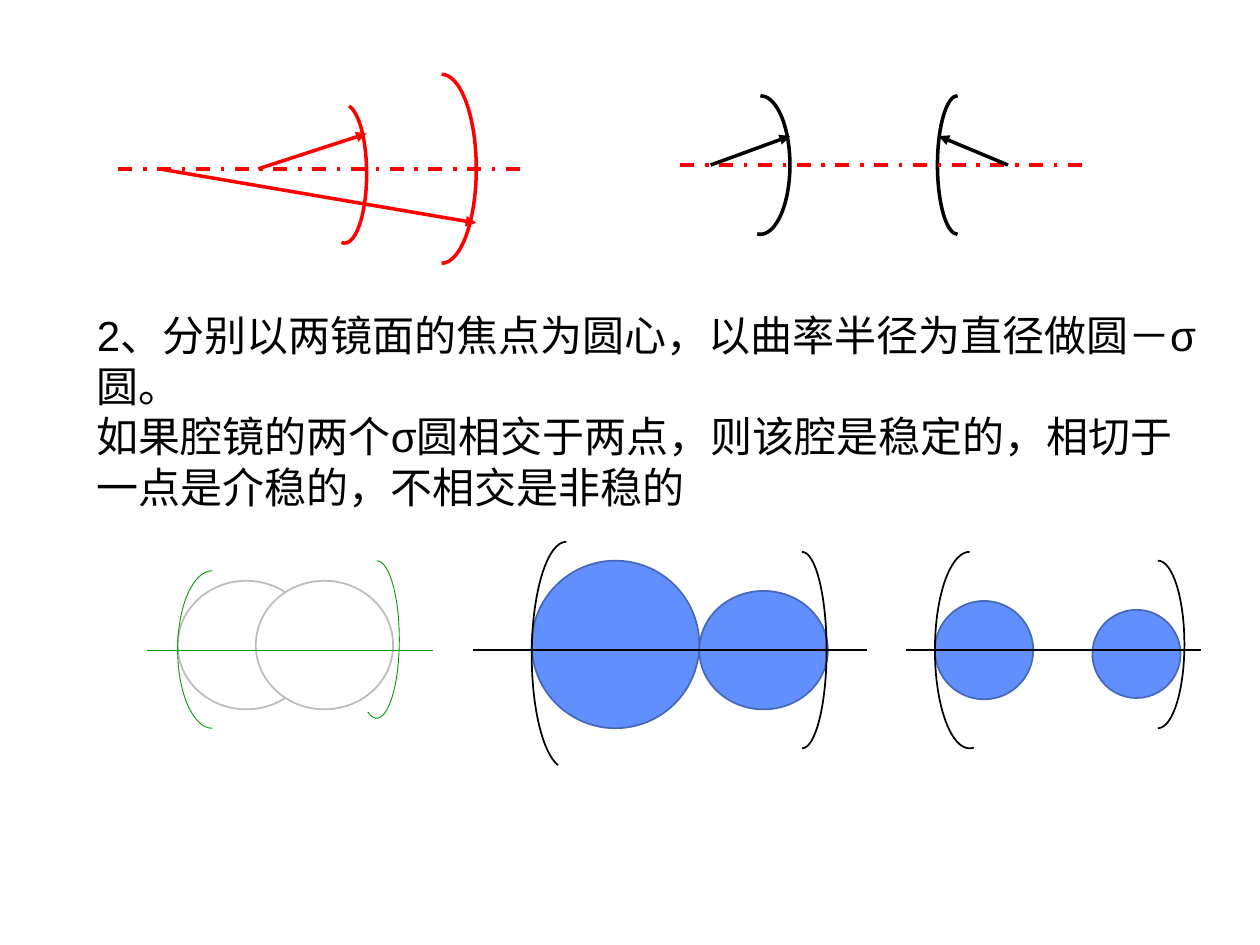
from math import cos, radians, sin, tan

from lxml.etree import SubElement
from pptx import Presentation
from pptx.dml.color import RGBColor
from pptx.enum.dml import MSO_LINE
from pptx.enum.shapes import MSO_CONNECTOR, MSO_SHAPE
from pptx.enum.text import MSO_AUTO_SIZE
from pptx.oxml.ns import qn
from pptx.util import Inches, Pt

RED, BLACK, GREEN, GRAY = "FF0000", "000000", "009D00", "BCBCBC"
WHITE, BLUE, DARK_BLUE = "FFFFFF", "618FFD", "4568BA"
RIGHT, LEFT = (-90, 0, 90), (-90, -180, -270)

PARAGRAPHS = [
    "2、分别以两镜面的焦点为圆心，以曲率半径为直径做圆－σ圆。",
    "如果腔镜的两个σ圆相交于两点，则该腔是稳定的，相切于一点是介稳的，不相交是非稳的",
]

RADIUS_DIAGRAMS = [
    {
        "color": RED,
        "mirrors": [((2.56, 0.83, 0.35, 1.1), (-78, 0, 98)), ((3.23, 0.59, 0.55, 1.5), RIGHT)],
        "axis": (0.94, 4.17, 1.34),
        "radii": [(2.05, 1.34, 2.91, 1.06), (1.26, 1.34, 3.78, 1.77)],
    },
    {
        "color": BLACK,
        "mirrors": [((5.8, 0.76, 0.47, 1.1), (-90, -12, 12, 96)),
                    ((7.44, 0.76, 0.32, 1.1), (-90, -170, -190, -270))],
        "axis": (5.4, 8.63, 1.31),
        "radii": [(5.64, 1.31, 6.27, 1.08), (8, 1.31, 7.45, 1.08)],
    },
]

CIRCLE_DIAGRAMS = [
    {
        "color": GREEN, "width": 0.5, "fill": WHITE, "outline": GRAY,
        "circles": [(1.41, 4.61, 1.09, 1.02), (2.03, 4.61, 1.09, 1.02)],
        "mirrors": [((2.81, 4.45, 0.36, 1.25), (-90, -10, 10, 113)),
                    ((1.41, 4.53, 0.55, 1.25), LEFT)],
        "axis": (1.17, 3.44),
    },
    {
        "color": BLACK, "width": 1, "fill": BLUE, "outline": DARK_BLUE,
        "circles": [(4.22, 4.45, 1.33, 1.33), (5.55, 4.69, 1.02, 0.94)],
        "mirrors": [((6.17, 4.38, 0.39, 1.56), RIGHT),
                    ((4.22, 4.3, 0.55, 1.8), (-90, -180, -256))],
        "axis": (3.75, 6.88),
    },
    {
        "color": BLACK, "width": 1, "fill": BLUE, "outline": DARK_BLUE,
        "circles": [(7.42, 4.77, 0.78, 0.78), (8.67, 4.84, 0.7, 0.7)],
        "mirrors": [((8.98, 4.45, 0.42, 1.33), RIGHT),
                    ((7.42, 4.38, 0.55, 1.56), (-90, -170, -190, -277))],
        "axis": (7.19, 9.53),
    },
]
CIRCLE_AXIS_Y = 5.16


def rgb(color):
    """Turn a hex string into a colour."""
    return RGBColor.from_string(color)


def style_line(shape, color, width):
    """Set the line colour and width of a shape."""
    shape.line.color.rgb = rgb(color)
    shape.line.width = Pt(width)


def add_line(slide, ends, color, width, dash=None, arrow=False):
    """Draw a straight line between two points."""
    line = slide.shapes.add_connector(MSO_CONNECTOR.STRAIGHT, *map(Inches, ends))
    style_line(line, color, width)
    if dash:
        line.line.dash_style = dash
    if arrow:
        SubElement(line.line._get_or_add_ln(), qn("a:tailEnd"), type="triangle")
    SubElement(line._element.spPr, qn("a:effectLst"))


def add_step(outline, kind, points, size):
    """Append one outline command whose points lie on the unit circle's scale."""
    command = SubElement(outline, qn(kind))
    for point in points:
        x, y = (round(length * (1 + part) / 2) for length, part in zip(size, point))
        SubElement(command, qn("a:pt"), x=str(x), y=str(y))


def unit_curve(start, end):
    """Return the three Bezier points that continue a unit arc."""
    a, b = radians(start), radians(end)
    pull = 4 / 3 * tan((b - a) / 4)
    return [
        (cos(a) - pull * sin(a), sin(a) + pull * cos(a)),
        (cos(b) + pull * sin(b), sin(b) - pull * cos(b)),
        (cos(b), sin(b)),
    ]


def add_mirror(slide, box, angles, color, width):
    """Draw an elliptical arc with a lineless sector behind it."""
    left, top, *size = map(Inches, box)
    builder = slide.shapes.build_freeform(left, top)
    builder.add_line_segments([(left + size[0], top + size[1])], close=False)
    mirror = builder.convert_to_shape()
    outlines = mirror._element.spPr.find(qn("a:custGeom")).find(qn("a:pathLst"))
    outlines.clear()
    first = radians(angles[0])
    for option in ({"stroke": "0"}, {"fill": "none"}):
        outline = SubElement(outlines, qn("a:path"), w=str(size[0]), h=str(size[1]), **option)
        add_step(outline, "a:moveTo", [(cos(first), sin(first))], size)
        for start, end in zip(angles, angles[1:]):
            add_step(outline, "a:cubicBezTo", unit_curve(start, end), size)
        if "stroke" in option:
            add_step(outline, "a:lnTo", [(0, 0)], size)
            SubElement(outline, qn("a:close"))
    mirror.shadow.inherit = False
    mirror.fill.background()
    style_line(mirror, color, width)


def add_circle(slide, box, fill, outline):
    """Draw a filled sigma circle."""
    circle = slide.shapes.add_shape(MSO_SHAPE.OVAL, *map(Inches, box))
    circle.shadow.inherit = False
    circle.fill.solid()
    circle.fill.fore_color.rgb = rgb(fill)
    style_line(circle, outline, 1)


def add_text(slide):
    """Add the rule for the sigma circles."""
    box = slide.shapes.add_textbox(Inches(0.67), Inches(2.41), Inches(9.06), Inches(1.7))
    frame = box.text_frame
    frame.word_wrap = True
    frame.auto_size = MSO_AUTO_SIZE.SHAPE_TO_FIT_TEXT
    frame.text = "\n".join(PARAGRAPHS)
    for paragraph in frame.paragraphs:
        paragraph.font.name = "Arial"
        paragraph.font.size = Pt(24)
        paragraph.font.color.rgb = rgb(BLACK)


def main():
    """Build the slide and save it."""
    presentation = Presentation()
    presentation.slide_width, presentation.slide_height = Inches(10), Inches(7.5)
    slide = presentation.slides.add_slide(presentation.slide_layouts[6])

    for diagram in RADIUS_DIAGRAMS:
        for box, angles in diagram["mirrors"]:
            add_mirror(slide, box, angles, diagram["color"], 2)
        start, end, y = diagram["axis"]
        add_line(slide, (start, y, end, y), RED, 2, dash=MSO_LINE.DASH_DOT)
        for ends in diagram["radii"]:
            add_line(slide, ends, diagram["color"], 2, arrow=True)

    add_text(slide)

    for diagram in CIRCLE_DIAGRAMS:
        color, width = diagram["color"], diagram["width"]
        for box in diagram["circles"]:
            add_circle(slide, box, diagram["fill"], diagram["outline"])
        for box, angles in diagram["mirrors"]:
            add_mirror(slide, box, angles, color, width)
        start, end = diagram["axis"]
        add_line(slide, (start, CIRCLE_AXIS_Y, end, CIRCLE_AXIS_Y), color, width)

    presentation.save("out.pptx")


if __name__ == "__main__":
    main()
